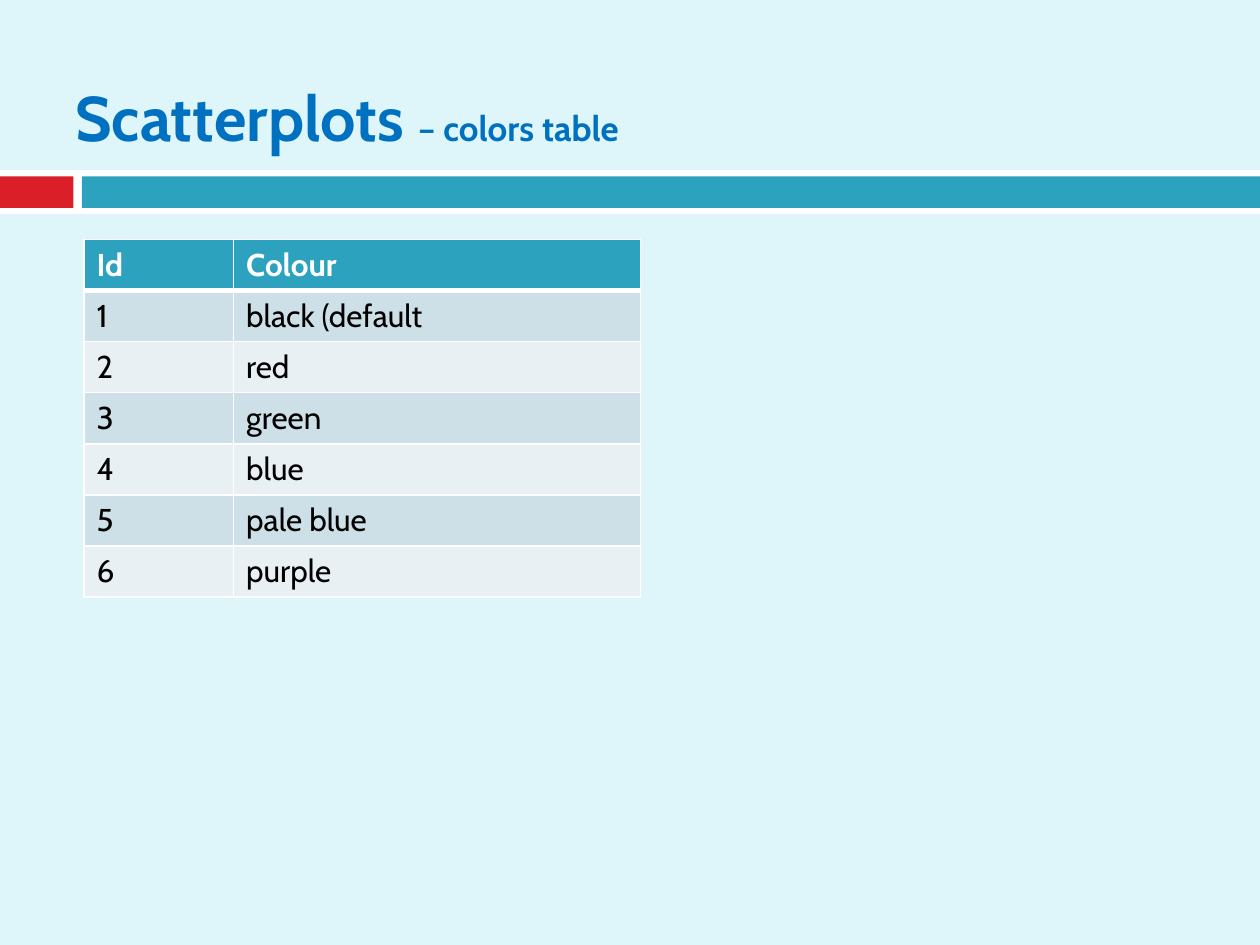
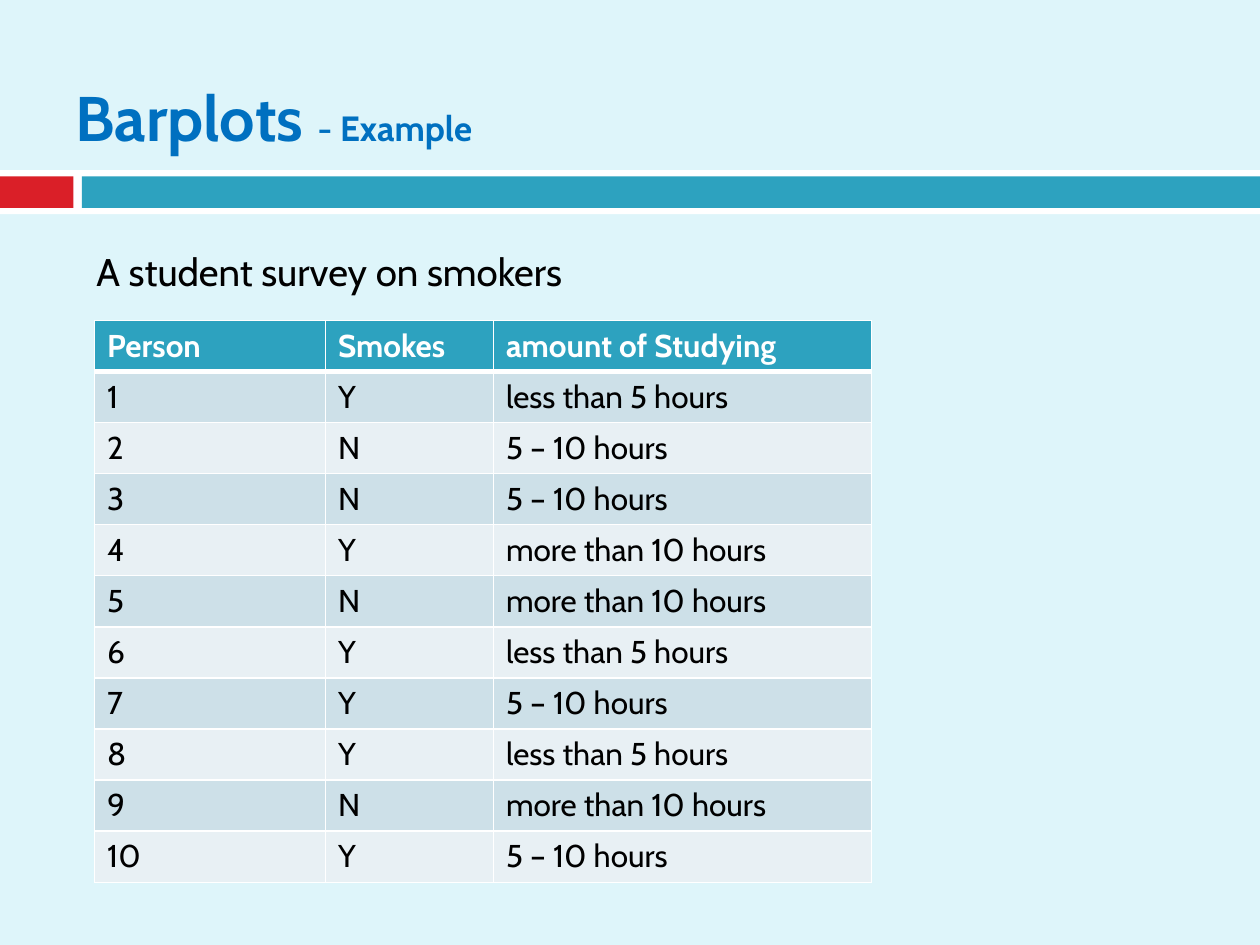
import dataclasses

import lxml.etree
import pptx
import pptx.dml.color
import pptx.enum.shapes
import pptx.enum.text
import pptx.oxml.ns
import pptx.util


@dataclasses.dataclass(frozen=True)
class Theme:
    font: str = "Cabin"
    back: str = "DEF5FA"
    white: str = "FFFFFF"
    black: str = "000000"
    red: str = "DA1F28"
    teal: str = "2DA2BF"
    blue: str = "0070C0"
    bands: tuple = ("CDE0E8", "E8F0F4")
    title: int = 36
    minor: int = 20
    lead: int = 22
    body: int = 18


THEME = Theme()
COLS, ROWS = 120, 90
UNIT = pptx.util.Inches(10) // COLS
ROW = 4.87  # table row height in grid rows

COLOURS = ["black (default", "red", "green", "blue", "pale blue", "purple"]
LESS, MID, MORE = "less than 5 hours", "5 – 10 hours", "more than 10 hours"
SURVEY = [
    ("Y", LESS), ("N", MID), ("N", MID), ("Y", MORE), ("N", MORE),
    ("Y", LESS), ("Y", MID), ("Y", LESS), ("N", MORE), ("Y", MID),
]


def grid(*cells):
    """Turn grid columns or rows into lengths."""
    return [round(cell * UNIT) for cell in cells]


def rgb(code):
    return pptx.dml.color.RGBColor.from_string(code)


def style(font, size, color, bold=False):
    font.name = THEME.font
    font.size = pptx.util.Pt(size)
    font.color.rgb = rgb(color)
    font.bold = bold


def add_band(slide, left, top, width, height, color):
    kind = pptx.enum.shapes.MSO_SHAPE.RECTANGLE
    band = slide.shapes.add_shape(kind, *grid(left, top, width, height))
    band.shadow.inherit = False
    band.fill.solid()
    band.fill.fore_color.rgb = rgb(color)
    band.line.fill.background()


def add_text(slide, left, top, width, height):
    """Add a wrapping text box and return its frame."""
    frame = slide.shapes.add_textbox(*grid(left, top, width, height)).text_frame
    frame.word_wrap = True
    return frame


def add_title(slide, main, minor):
    frame = add_text(slide, 6, 3.6, 108, 15)
    frame.vertical_anchor = pptx.enum.text.MSO_ANCHOR.MIDDLE
    para = frame.paragraphs[0]
    style(para.font, THEME.title, THEME.blue, True)
    para.add_run().text = main + " "
    tail = para.add_run()
    tail.text = minor
    tail.font.size = pptx.util.Pt(THEME.minor)


def add_lead(slide, text):
    frame = add_text(slide, 8, 23, 84, 5.64)
    frame.text = text
    style(frame.paragraphs[0].font, THEME.lead, THEME.black)


def add_edge(cell, side, points):
    name = pptx.oxml.ns.qn
    props = cell._tc.get_or_add_tcPr()
    line = lxml.etree.SubElement(props, name("a:ln" + side))
    line.set("w", str(pptx.util.Pt(points)))
    fill = lxml.etree.SubElement(line, name("a:solidFill"))
    lxml.etree.SubElement(fill, name("a:srgbClr")).set("val", THEME.white)


def fill_cell(cell, text, row):
    head = row == 0
    thick = {"T": row == 1, "B": head}  # rule between header and body
    for side in "LRTB":
        add_edge(cell, side, 3 if thick.get(side) else 1)
    cell.fill.solid()
    shade = THEME.teal if head else THEME.bands[(row - 1) % 2]
    cell.fill.fore_color.rgb = rgb(shade)
    cell.text = text
    color = THEME.white if head else THEME.black
    style(cell.text_frame.paragraphs[0].font, THEME.body, color, head)


def add_table(slide, left, top, widths, rows):
    box = grid(left, top, sum(widths), ROW * len(rows))
    table = slide.shapes.add_table(len(rows), len(widths), *box).table
    for column, width in zip(table.columns, grid(*widths)):
        column.width = width
    for row, texts in enumerate(rows):
        for col, text in enumerate(texts):
            fill_cell(table.cell(row, col), text, row)


def add_slide(deck, main, minor):
    """Add a slide with the shared bands and a two-size title."""
    slide = deck.slides.add_slide(deck.slide_layouts[6])
    add_band(slide, 0, 16.2, COLS, 4.2, THEME.white)
    add_band(slide, 0, 16.8, 7, 3, THEME.red)
    add_band(slide, 7.8, 16.8, COLS - 7.8, 3, THEME.teal)
    add_title(slide, main, minor)
    return slide


def main():
    deck = pptx.Presentation()
    deck.slide_width, deck.slide_height = grid(COLS, ROWS)
    back = deck.slide_master.background.fill
    back.solid()
    back.fore_color.rgb = rgb(THEME.back)

    slide = add_slide(deck, "Scatterplots", "– colors table")
    rows = [(str(num), name) for num, name in enumerate(COLOURS, 1)]
    add_table(slide, 8, 22.8, [14.25, 38.75], [("Id", "Colour"), *rows])

    slide = add_slide(deck, "Barplots", "- Example")
    rows = [(str(num), *reply) for num, reply in enumerate(SURVEY, 1)]
    heads = ("Person", "Smokes", "amount of Studying")
    add_table(slide, 9, 30.5, [22, 16, 36], [heads, *rows])
    add_lead(slide, "A student survey on smokers")

    deck.save("out.pptx")


if __name__ == "__main__":
    main()
